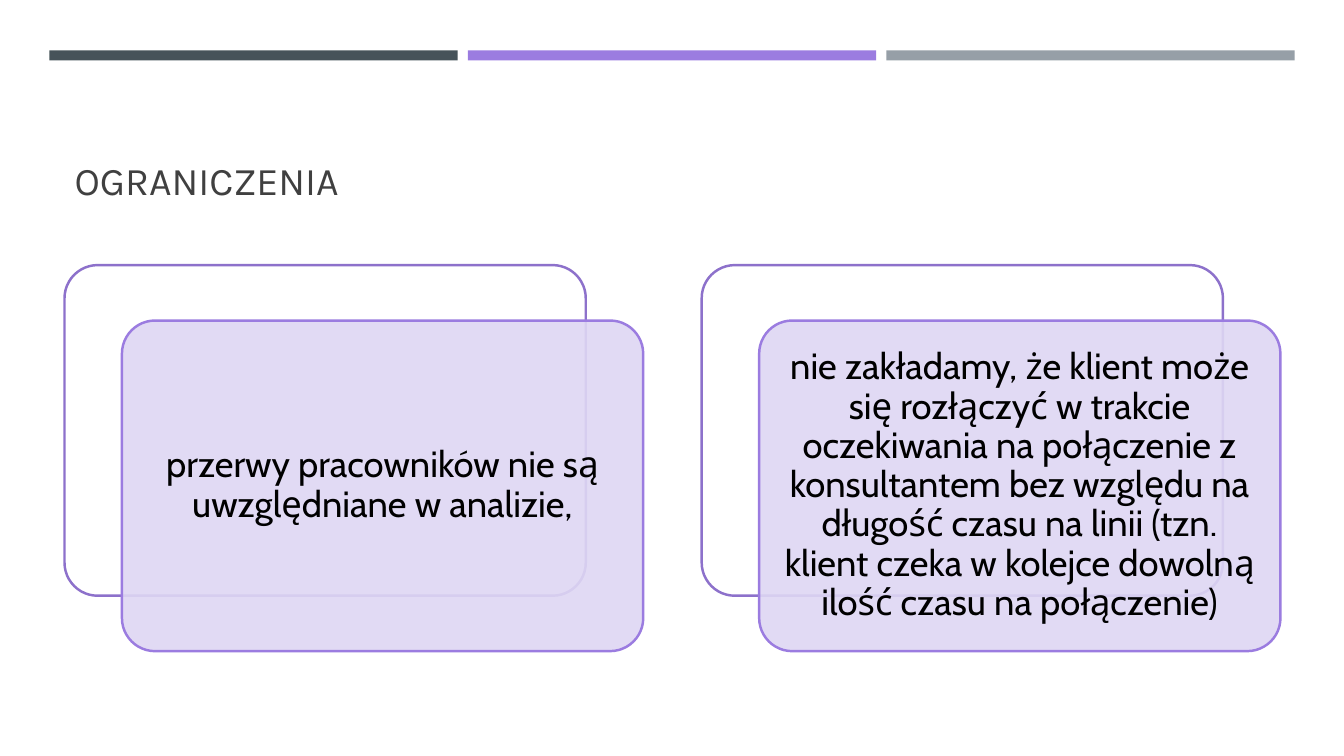
import pptx
import pptx.util
import pptx.dml.color
import pptx.enum.shapes
import pptx.enum.text
import pptx.oxml.ns
import lxml.etree

Inches = pptx.util.Inches
RGBColor = pptx.dml.color.RGBColor
MSO_SHAPE = pptx.enum.shapes.MSO_SHAPE
MSO_ANCHOR = pptx.enum.text.MSO_ANCHOR
PP_ALIGN = pptx.enum.text.PP_ALIGN

SLATE = RGBColor(0x46, 0x53, 0x59)
PURPLE = RGBColor(0x9B, 0x7C, 0xE0)
GRAY = RGBColor(0x96, 0x9F, 0xA7)
VIOLET = RGBColor(0x8D, 0x71, 0xCB)
LAVENDER = RGBColor(0xDE, 0xD7, 0xF3)
WHITE = RGBColor(0xFF, 0xFF, 0xFF)
BLACK = RGBColor(0, 0, 0)
TITLE_GRAY = RGBColor(0x40, 0x40, 0x40)

LIMITS = [
    "przerwy pracowników nie są uwzględniane w analizie,",
    "nie zakładamy, że klient może się rozłączyć w trakcie oczekiwania na "
    "połączenie z konsultantem bez względu na długość czasu na linii (tzn. "
    "klient czeka w kolejce dowolną ilość czasu na połączenie)",
]


def set_attrs(obj, values):
    """Set each named value on the object."""
    for name, value in values.items():
        setattr(obj, name, value)


def write(tf, text, frame, align, font):
    """Fill a text frame with one formatted paragraph."""
    set_attrs(tf, {"word_wrap": True,
                   "auto_size": pptx.enum.text.MSO_AUTO_SIZE.NONE, **frame})
    p = tf.paragraphs[0]
    p.alignment = align
    r = p.add_run()
    r.text = text
    color = font.pop("color")
    set_attrs(r.font, font)
    r.font.color.rgb = color
    return p


def add_box(s, kind, x, y, w, h, fill, line=None):
    """Add a filled shape with an optional outline."""
    sp = s.shapes.add_shape(kind, Inches(x), Inches(y), Inches(w), Inches(h))
    sp.shadow.inherit = False
    sp.fill.solid()
    sp.fill.fore_color.rgb = fill
    if line is None:
        sp.line.fill.background()
    else:
        sp.line.color.rgb = line
        sp.line.width = pptx.util.Pt(1.75)
    return sp


def add_bars(s, x, y, w, h):
    """Divide the box into three coloured bars with equal gaps."""
    gap = 0.1
    bar_w = (w - 2 * gap) / 3
    for i, color in enumerate([SLATE, PURPLE, GRAY]):
        add_box(s, MSO_SHAPE.RECTANGLE, x + i * (bar_w + gap), y, bar_w, h, color)


def add_title(s, text, x, y, w, h):
    """Place the title placeholder in the box."""
    sp = s.shapes.title
    set_attrs(sp, {"left": Inches(x), "top": Inches(y),
                   "width": Inches(w), "height": Inches(h)})
    write(sp.text_frame, text, {"vertical_anchor": MSO_ANCHOR.BOTTOM}, PP_ALIGN.LEFT,
          {"name": "Karla", "size": pptx.util.Pt(28), "color": TITLE_GRAY})


def add_card(s, text, x, y, w, h):
    """Draw a text card over an offset outlined back card."""
    dx, dy = 0.57, 0.55
    card_w, card_h = w - dx, h - dy
    back = add_box(s, MSO_SHAPE.ROUNDED_RECTANGLE, x, y, card_w, card_h, WHITE, VIOLET)
    front = add_box(s, MSO_SHAPE.ROUNDED_RECTANGLE, x + dx, y + dy, card_w, card_h,
                    LAVENDER, PURPLE)
    for sp in (back, front):
        sp.adjustments[0] = 0.1
    qn = pptx.oxml.ns.qn
    color = front.fill._xPr.find(qn("a:solidFill")).find(qn("a:srgbClr"))
    lxml.etree.SubElement(color, qn("a:alpha")).set("val", "90000")
    sides = ("left", "top", "right", "bottom")
    frame = {f"margin_{side}": Inches(0.11) for side in sides}
    frame["vertical_anchor"] = MSO_ANCHOR.MIDDLE
    p = write(front.text_frame, text, frame, PP_ALIGN.CENTER,
              {"name": "Cabin", "size": pptx.util.Pt(26), "color": BLACK})
    p.line_spacing = 0.9


def add_cards(s, texts, x, y, w, h):
    """Set the cards side by side across the box."""
    card_w = 5.74
    step = (w - card_w) / (len(texts) - 1)
    for i, text in enumerate(texts):
        add_card(s, text, x + i * step, y, card_w, h)


def main():
    """Build and save the slide."""
    prs = pptx.Presentation()
    set_attrs(prs, {"slide_width": Inches(13.33), "slide_height": Inches(7.5)})
    s = prs.slides.add_slide(prs.slide_layouts[5])
    add_bars(s, 0.49, 0.5, 12.35, 0.1)
    add_title(s, "OGRANICZENIA", 0.64, 0.77, 12.06, 1.3)
    add_cards(s, LIMITS, 0.64, 2.63, 12.06, 3.83)
    prs.save("out.pptx")


if __name__ == "__main__":
    main()
